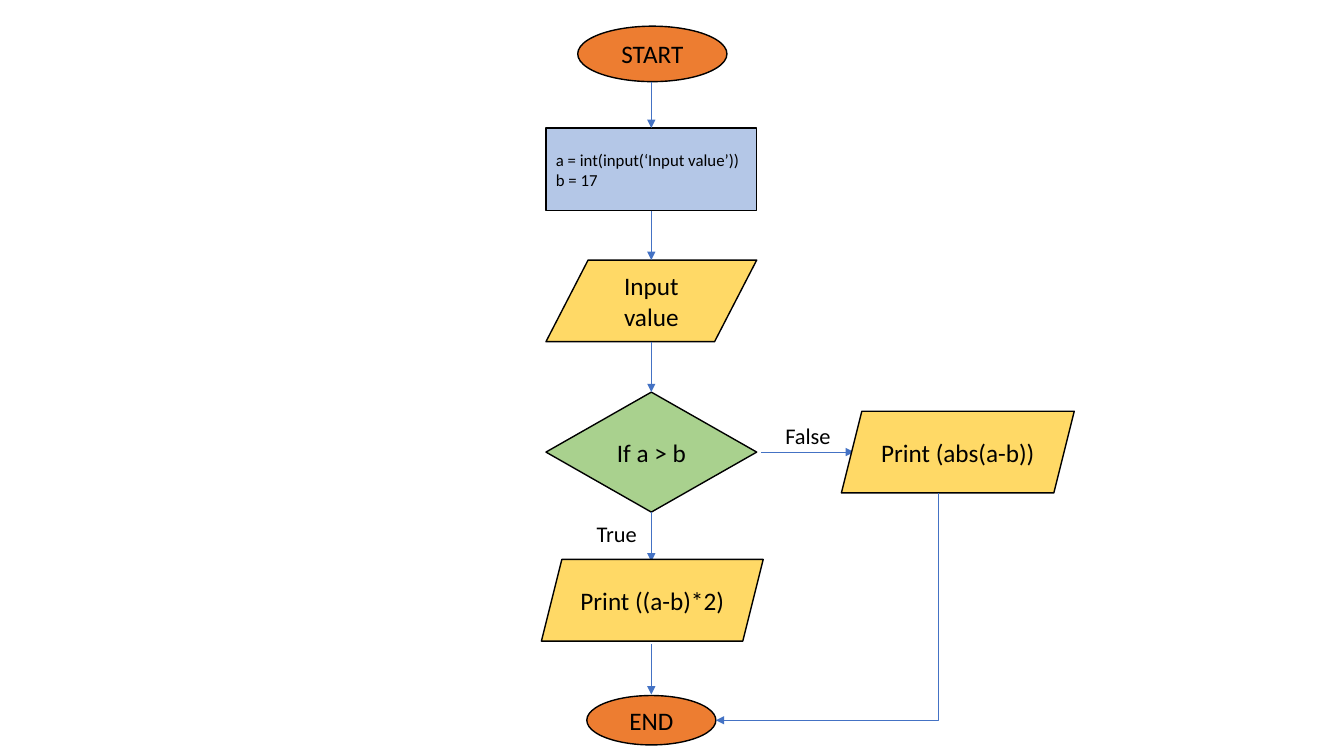
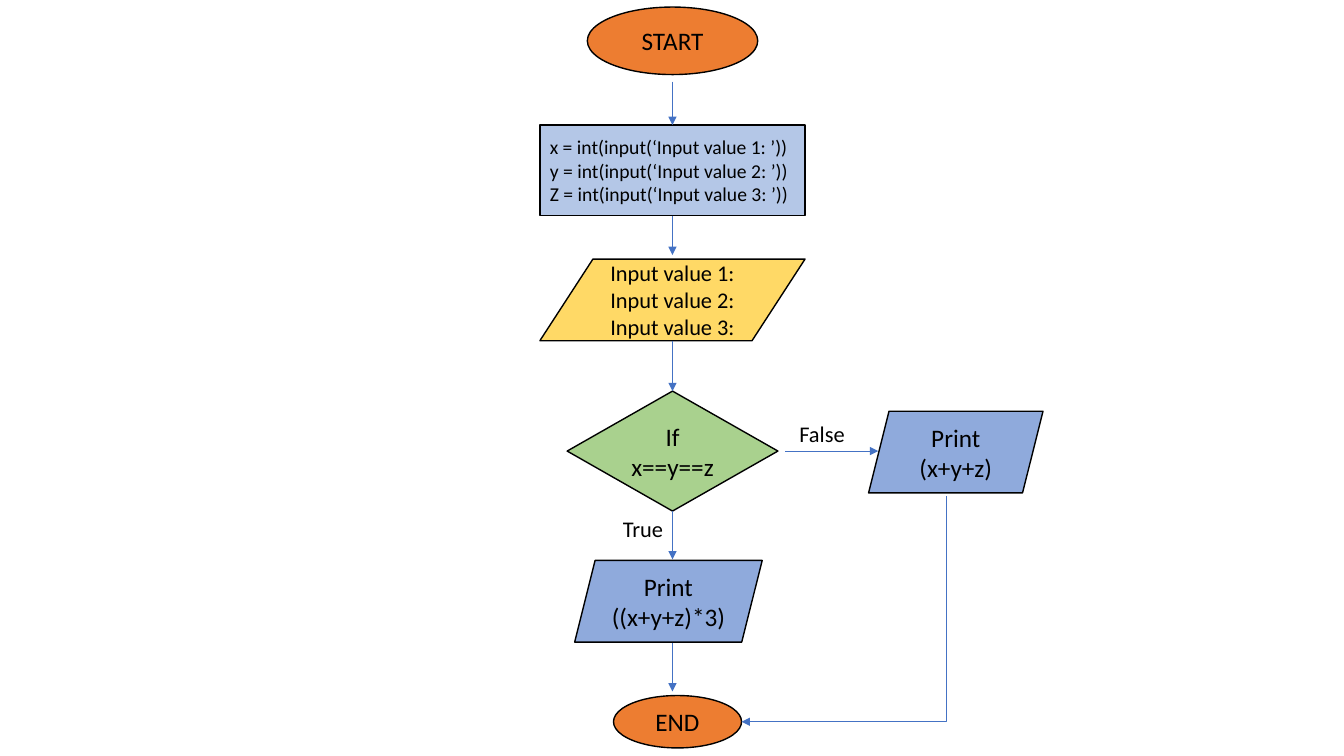
from dataclasses import dataclass

from lxml import etree
from pptx import Presentation
from pptx import util as u
from pptx.dml import color
from pptx.enum import shapes, text
from pptx.oxml import ns

FONT = "Calibri"
INK, ARROW = "000000", "4472C4"
ORANGE, PALE_BLUE, YELLOW, GREEN, BLUE = "ED7D31", "B4C7E7", "FFD966", "A9D18E", "8FAADC"
TOP, BOTTOM = 0, 2
LABEL_SIZE, LABEL_WIDTH, LABEL_HEIGHT = 16, 0.76, 0.37
PRINT_HEIGHT = 0.81
SHAPE = shapes.MSO_SHAPE
ALIGN = text.PP_ALIGN


@dataclass
class Node:
    """One step: its text, place from the column's axis, size and look."""
    words: str
    shift: float
    top: float
    width: float
    height: float
    preset: int
    fill: str
    size: int = 18
    align: int = ALIGN.CENTER

    @property
    def bottom(self):
        """Return the lower edge in inches."""
        return self.top + self.height

    @property
    def middle(self):
        """Return the vertical centre in inches."""
        return self.top + self.height / 2


@dataclass
class Flow:
    """The steps of one flowchart with its arrows and branch labels."""
    start: Node
    code: Node
    prompt: Node
    test: Node
    on_true: Node
    on_false: Node
    end: Node
    start_exit: float
    prompt_entry: float
    true_entry: float
    end_span: tuple
    false_span: tuple
    false_label: tuple
    true_label: tuple
    return_start: tuple


def rgb(value):
    """Turn a hex string into a colour."""
    return color.RGBColor.from_string(value)


def write(shape, words, size, align=ALIGN.LEFT):
    """Fill a shape with text, one paragraph a line."""
    frame = shape.text_frame
    frame.word_wrap = True
    frame.text = words
    for para in frame.paragraphs:
        para.alignment = align
        for span in para.runs:
            span.font.name = FONT
            span.font.size = u.Pt(size)
            span.font.color.rgb = rgb(INK)


def add_node(page, axis, node):
    """Draw one step centred on the axis plus its shift."""
    left = axis + node.shift - node.width / 2
    box = page.shapes.add_shape(
        node.preset, *map(u.Inches, (left, node.top, node.width, node.height)))
    box.shadow.inherit = False
    box.fill.solid()
    box.fill.fore_color.rgb = rgb(node.fill)
    box.line.color.rgb = rgb(INK)
    box.line.width = u.Pt(1)
    write(box, node.words, node.size, node.align)
    box.text_frame.vertical_anchor = text.MSO_ANCHOR.MIDDLE
    return box


def add_label(page, left, top, words):
    """Write the label of a branch."""
    box = page.shapes.add_textbox(
        *map(u.Inches, (left, top, LABEL_WIDTH, LABEL_HEIGHT)))
    write(box, words, LABEL_SIZE)


def add_arrow(page, start, end, kind=shapes.MSO_CONNECTOR.STRAIGHT):
    """Draw a thin line with an arrowhead at its end."""
    arrow = page.shapes.add_connector(kind, *map(u.Inches, (*start, *end)))
    arrow.line.color.rgb = rgb(ARROW)
    arrow.line.width = u.Pt(0.5)
    etree.SubElement(arrow.line._get_or_add_ln(), ns.qn("a:tailEnd"), type="triangle")
    etree.SubElement(arrow._element.spPr, ns.qn("a:effectLst"))
    return arrow


def add_return(page, start, end):
    """Draw an arrow that runs down and then left."""
    across, down = start[0] - end[0], end[1] - start[1]
    left = (start[0] + end[0] - down) / 2
    top = (start[1] + end[1] - across) / 2
    arrow = add_arrow(page, (left, top), (left + down, top + across),
                      shapes.MSO_CONNECTOR.ELBOW)
    properties = arrow._element.spPr
    properties.find(ns.qn("a:xfrm")).set("rot", "5400000")
    properties.find(ns.qn("a:prstGeom")).set("prst", "bentConnector2")


def add_flowchart(page, axis, flow):
    """Draw a flowchart around a vertical axis."""
    add_node(page, axis, flow.start)
    code = add_node(page, axis, flow.code)
    add_node(page, axis, flow.prompt)
    test = add_node(page, axis, flow.test)

    def drop(first, last):
        """Draw an arrow down the axis."""
        return add_arrow(page, (axis, first), (axis, last))

    drop(flow.start_exit, flow.code.top).end_connect(code, TOP)
    drop(flow.code.bottom, flow.prompt_entry).begin_connect(code, BOTTOM)
    drop(flow.prompt.bottom, flow.test.top).end_connect(test, TOP)
    drop(flow.test.bottom, flow.true_entry).begin_connect(test, BOTTOM)
    drop(*flow.end_span)
    add_arrow(page, *((axis + reach, flow.test.middle) for reach in flow.false_span))

    for words, (shift, top) in (("False", flow.false_label), ("True", flow.true_label)):
        add_label(page, axis + shift, top, words)
    for node in (flow.end, flow.on_true, flow.on_false):
        add_node(page, axis, node)
    shift, top = flow.return_start
    end_side = axis + flow.end.shift + flow.end.width / 2
    add_return(page, (axis + shift, top), (end_side, flow.end.middle))


def terminal(words, shift, top, width, height):
    """Describe a start or end step."""
    return Node(words, shift, top, width, height, SHAPE.OVAL, ORANGE)


def code_step(words, top, width, height, size):
    """Describe a step that assigns values."""
    return Node(words, 0, top, width, height, SHAPE.RECTANGLE, PALE_BLUE, size, ALIGN.LEFT)


def prompt_step(words, top, width, size):
    """Describe a step that asks for input."""
    return Node(words, 0, top, width, PRINT_HEIGHT, SHAPE.FLOWCHART_DATA, YELLOW, size)


def test_step(words, top):
    """Describe a decision."""
    return Node(words, 0, top, 2.09, 1.19, SHAPE.DIAMOND, GREEN)


def print_step(words, shift, top, width, fill):
    """Describe a step that prints a result."""
    return Node(words, shift, top, width, PRINT_HEIGHT, SHAPE.PARALLELOGRAM, fill)


DIFFERENCE = Flow(
    start=terminal("START", 0.01, 0.26, 1.48, 0.55),
    code=code_step("a = int(input(‘Input value’))\nb = 17", 1.27, 2.09, 0.82, 12),
    prompt=prompt_step("Input value", 2.58, 2.09, 18),
    test=test_step("If a > b", 3.89),
    on_true=print_step("Print ((a-b)*2)", 0.01, 5.55, 2.2, YELLOW),
    on_false=print_step("Print (abs(a-b))", 3.04, 4.08, 2.31, YELLOW),
    end=terminal("END", 0, 6.9, 1.28, 0.49),
    start_exit=0.81, prompt_entry=2.58, true_entry=5.57, end_span=(6.39, 6.89),
    false_span=(1.09, 2.01), false_label=(1.23, 4.14), true_label=(-0.64, 5.11),
    return_start=(2.85, 4.89))

TRIPLE_SUM = Flow(
    start=terminal("START", 0, 0.07, 1.69, 0.67),
    code=code_step("x = int(input(‘Input value 1: ’))\ny = int(input(‘Input value 2: ’))\n"
                   "Z = int(input(‘Input value 3: ’))", 1.24, 2.63, 0.9, 14),
    prompt=prompt_step("Input value 1:\nInput value 2:\nInput value 3:", 2.57, 2.63, 16),
    test=test_step("If x==y==z", 3.88),
    on_true=print_step("Print ((x+y+z)*3)", -0.04, 5.56, 1.86, BLUE),
    on_false=print_step("Print (x+y+z)", 2.81, 4.08, 1.73, BLUE),
    end=terminal("END", 0.05, 6.9, 1.27, 0.52),
    start_exit=0.81, prompt_entry=2.53, true_entry=5.55, end_span=(6.37, 6.86),
    false_span=(1.12, 2.04), false_label=(1.16, 4.12), true_label=(-0.59, 5.06),
    return_start=(2.72, 4.92))


def main():
    """Build the deck and save it."""
    deck = Presentation()
    deck.slide_width, deck.slide_height = u.Inches(13.33), u.Inches(7.5)
    for axis, flow in ((6.46, DIFFERENCE), (6.67, TRIPLE_SUM)):
        add_flowchart(deck.slides.add_slide(deck.slide_layouts[6]), axis, flow)
    deck.save("out.pptx")


if __name__ == "__main__":
    main()
